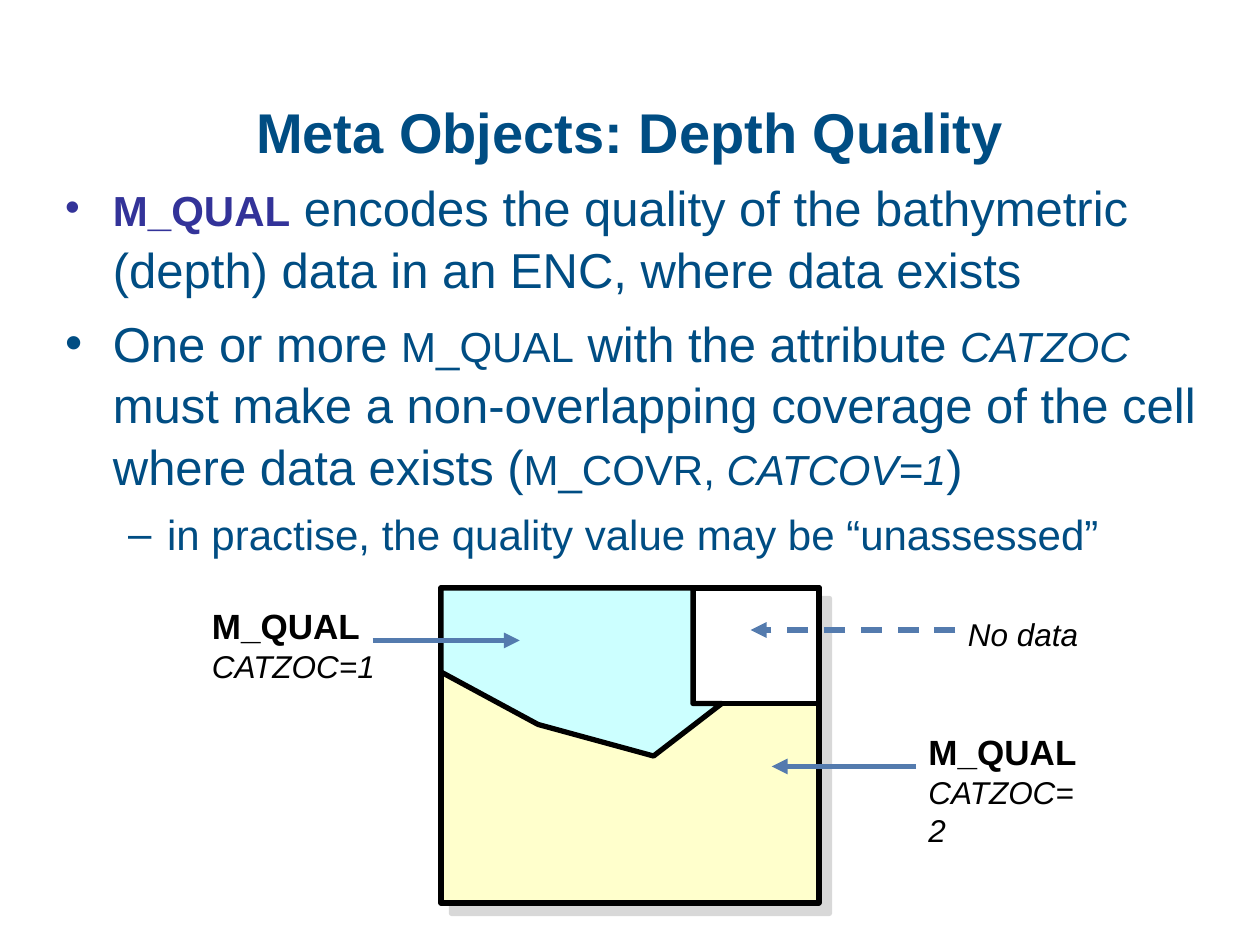
from dataclasses import dataclass

import pptx
import pptx.dml.color
import pptx.enum.dml
import pptx.enum.shapes
import pptx.enum.text
import pptx.oxml.ns
import pptx.oxml.xmlchemy
import pptx.util
from lxml import etree

Pt = pptx.util.Pt
TITLE_SIZE, TEXT_SIZE, TERM_SIZE, LABEL_SIZE, VALUE_SIZE = 32, 28, 24, 20, 18


@dataclass(frozen=True)
class Theme:
    font: str = "Arial"
    text: str = "004D83"
    term: str = "333399"
    ink: str = "000000"
    arrow: str = "547BAE"
    assessed: str = "CCFFFF"
    surveyed: str = "FFFFCC"
    empty: str = "FFFFFF"
    shadow: str = "B2B2B2"
    title_size: int = 32
    text_size: int = 28
    term_size: int = 24
    label_size: int = 20
    value_size: int = 18
    line_width: int = 3


def rgb(value):
    return pptx.dml.color.RGBColor.from_string(value)


def add_xml(parent, tag, **attributes):
    return etree.SubElement(parent, pptx.oxml.ns.qn(tag), attributes)


class DepthSlide:
    """Places elements on a grid of 120 columns by 90 rows."""

    def __init__(self, deck, theme):
        self.theme = theme
        self.cell = deck.slide_width / 120
        self.slide = deck.slides.add_slide(deck.slide_layouts[1])

    def grid(self, *cells):
        return [round(cell * self.cell) for cell in cells]

    def place(self, shape, box):
        shape.left, shape.top, shape.width, shape.height = self.grid(*box)

    def style(self, font, size, color, bold=False, italic=False):
        font.name, font.size = self.theme.font, Pt(size)
        font.color.rgb = rgb(color)
        font.bold, font.italic = bold, italic

    def title(self, text, box):
        heading = self.slide.shapes.title
        self.place(heading, box)
        frame = heading.text_frame
        frame.text = text
        frame.vertical_anchor = pptx.enum.text.MSO_ANCHOR.MIDDLE
        line = frame.paragraphs[0]
        line.alignment = pptx.enum.text.PP_ALIGN.CENTER
        self.style(line.font, self.theme.title_size, self.theme.text, bold=True)

    def body(self, box):
        body = self.slide.placeholders[1]
        self.place(body, box)
        body.text_frame.auto_size = pptx.enum.text.MSO_AUTO_SIZE.NONE
        return body.text_frame

    def bullet(self, line, runs, level=0, before=0, color=None):
        """Fill a list line from (text, run font settings) pairs."""
        mark, margin, hang = (("•", 0.38, 0.38), ("–", 0.81, 0.31))[level]
        line.level = level
        line.line_spacing = 1.05
        line.space_before = Pt(before)
        props = line._p.get_or_add_pPr()
        props.set("marL", str(pptx.util.Inches(margin)))
        props.set("indent", str(-pptx.util.Inches(hang)))
        bullet_color = add_xml(props, "a:buClr")
        add_xml(bullet_color, "a:srgbClr", val=color or self.theme.text)
        add_xml(props, "a:buFont", typeface=self.theme.font)
        add_xml(props, "a:buChar", char=mark)
        size = self.theme.term_size if level else self.theme.text_size
        self.style(line.font, size, self.theme.text)
        for text, settings in runs:
            run = line.add_run()
            run.text = text
            if settings:
                run.font.size = Pt(self.theme.term_size)
                run.font.bold = settings.get("bold")
                run.font.italic = settings.get("italic")
            if settings.get("color"):
                run.font.color.rgb = rgb(settings["color"])

    def label(self, box, value, name=None, wrap=True):
        frame = self.slide.shapes.add_textbox(*self.grid(*box)).text_frame
        frame.word_wrap = wrap
        frame.auto_size = pptx.enum.text.MSO_AUTO_SIZE.SHAPE_TO_FIT_TEXT
        line = frame.paragraphs[0]
        if name:
            line.text = name
            self.style(line.font, self.theme.label_size, self.theme.ink, bold=True)
            line = frame.add_paragraph()
        line.text = value
        self.style(line.font, self.theme.value_size, self.theme.ink, italic=True)

    def paint(self, area, fill):
        area.shadow.inherit = False
        area.fill.solid()
        area.fill.fore_color.rgb = rgb(fill)
        area.line.color.rgb = rgb(self.theme.ink)
        area.line.width = Pt(self.theme.line_width)

    def rectangle(self, group, box, fill):
        kind = pptx.enum.shapes.MSO_SHAPE.RECTANGLE
        area = group.shapes.add_shape(kind, *self.grid(*box))
        self.paint(area, fill)
        return area

    def polygon(self, group, points, fill):
        first, *rest = [self.grid(*point) for point in points]
        outline = group.shapes.build_freeform(*first)
        outline.add_line_segments(rest, close=True)
        self.paint(outline.convert_to_shape(), fill)

    def drop_shadow(self, area):
        effects = area._element.spPr.find(pptx.oxml.ns.qn("a:effectLst"))
        shadow = add_xml(effects, "a:outerShdw", dist=str(Pt(8.5)),
                         dir="2700000", algn="ctr", rotWithShape="0")
        color = add_xml(shadow, "a:srgbClr", val=self.theme.shadow)
        add_xml(color, "a:alpha", val="50000")

    def arrow(self, start, end, row, dashed=False):
        kind = pptx.enum.shapes.MSO_CONNECTOR.STRAIGHT
        ends = self.grid(start, row, end, row)
        pointer = self.slide.shapes.add_connector(kind, *ends)
        pointer.line.color.rgb = rgb(self.theme.arrow)
        pointer.line.width = Pt(self.theme.line_width)
        if dashed:
            pointer.line.dash_style = pptx.enum.dml.MSO_LINE.DASH
        props = pointer._element.spPr
        add_xml(props.find(pptx.oxml.ns.qn("a:ln")), "a:tailEnd", type="triangle")
        add_xml(props, "a:effectLst")


def main():
    deck = pptx.Presentation()
    deck.slide_width, deck.slide_height = pptx.util.Inches(10), pptx.util.Inches(7.5)
    theme = Theme()
    page = DepthSlide(deck, theme)

    page.title("Meta Objects: Depth Quality", (6, 5, 108, 15))
    points = page.body((5, 16, 111, 61))
    plain, term, attribute = {}, {"bold": False}, {"italic": True}
    page.bullet(points.paragraphs[0], [
        ("M_QUAL", {"bold": True, "color": theme.term}),
        (" encodes the quality of the bathymetric (depth) data in an ENC, "
         "where data exists", plain),
    ], color=theme.term)
    page.bullet(points.add_paragraph(), [
        ("One or more ", plain), ("M_QUAL", term),
        (" with the attribute ", plain), ("CATZOC", attribute),
        (" must make a non-overlapping coverage of the cell where data exists (", plain),
        ("M_COVR, ", term), ("CATCOV=1", attribute), (")", plain),
    ], before=7)
    page.bullet(points.add_paragraph(), [
        ("in practise, the quality value may be “unassessed”", plain),
    ], level=1, before=6)

    chart_cell = page.slide.shapes.add_group_shape()
    coverage = page.rectangle(chart_cell, (42, 56, 36, 30), theme.surveyed)
    page.drop_shadow(coverage)
    page.rectangle(chart_cell, (66, 56, 12, 11), theme.empty)
    page.polygon(chart_cell, [(42, 64), (51.25, 69), (62.25, 72), (68.75, 67),
                              (66, 67), (66, 56), (42, 56)], theme.assessed)

    page.label((91, 58, 14.75, 4.8), "No data")
    page.label((19, 57, 18.1, 8.75), "CATZOC=1", "M_QUAL", wrap=False)
    page.label((87.25, 69, 17.5, 16), "CATZOC=2", "M_QUAL")
    page.arrow(35.5, 49.5, 61)
    page.arrow(91, 71.5, 60, dashed=True)
    page.arrow(87.25, 73.5, 73)

    deck.save("out.pptx")


if __name__ == "__main__":
    main()
